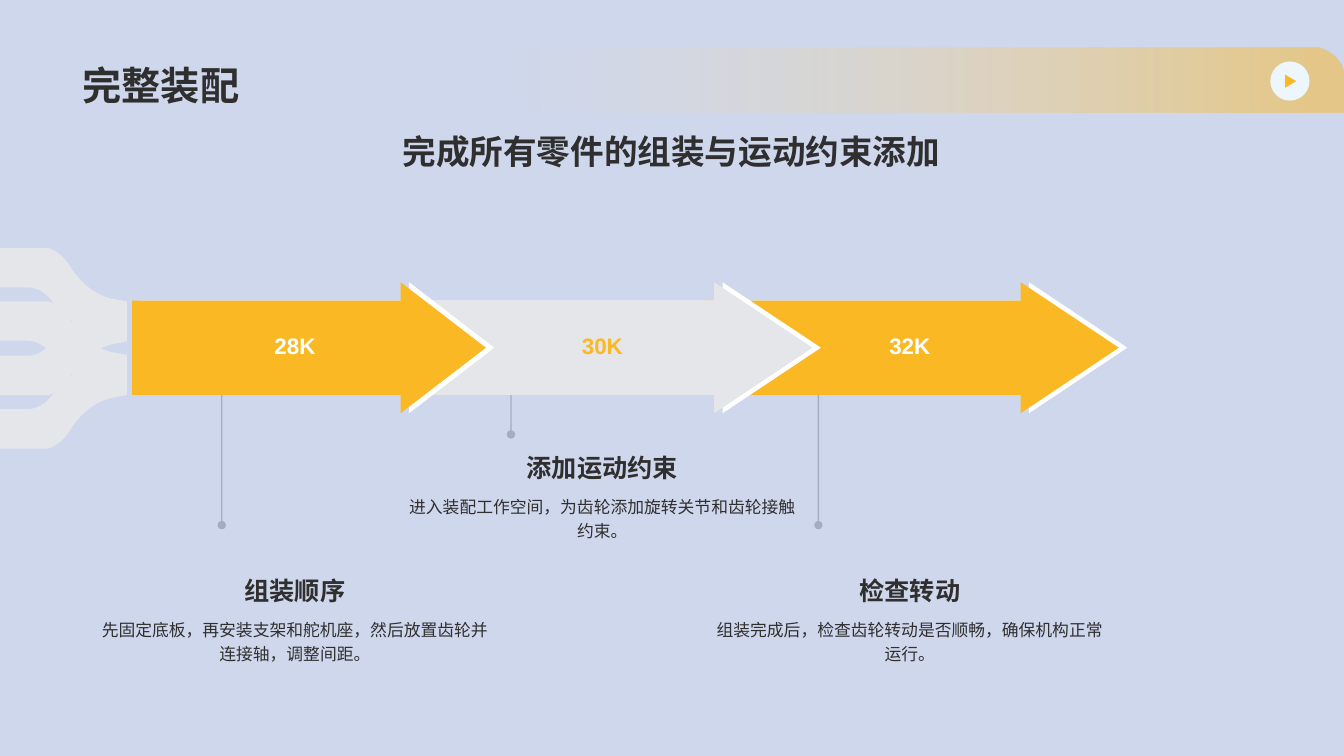
"""Builds the assembly slide with three overlapping arrows and their explanations."""
from dataclasses import dataclass

from lxml import etree
from pptx import Presentation
from pptx import util as u
from pptx.dml.color import RGBColor
from pptx.enum import shapes, text
from pptx.oxml import parse_xml
from pptx.oxml.ns import nsdecls, qn

DARK, WHITE, AMBER, GREY = "2F2F2F", "FFFFFF", "FBB825", "E4E6EA"
STEEL, PALE, SKY = "778495", "EDF6FD", "CFD7EC"
ARROW_TOP, ARROW_HEIGHT = 201.6, 93.6
TEXT_WIDTH, LABEL_WIDTH = 294.5, 162
STRAND_START = (31.7, 0)
STRAND_SEGMENTS = [
    [(0, 0)], [(0, 28.1)], [(20.9, 28.1)],
    [(26.6, 28.8), (32.4, 31.7), (36, 36.7)], [(38.9, 40.3)],
    [(45.4, 48.2), (53.3, 54.7), (62.6, 59)], [(72.7, 63.4)],
    [(75.6, 64.1), (78.5, 64.8), (81.4, 65.5)], [(84.2, 65.5)],
    [(90.7, 66.2)], [(90.7, 38.2)], [(86.4, 37.4)], [(78.5, 36)],
    [(66.2, 32.4), (56.2, 23.8), (49, 11.5)], [(46.8, 8.6)],
    [(43.2, 4.3), (38.9, 1.4), (34.6, 0)],
]


@dataclass
class Step:
    label: str
    heading: str
    detail: str
    text_left: float
    heading_top: float
    arrow_left: float
    arrow_width: float
    head: float
    fill: str
    label_color: str
    drop_x: float
    drop_end: float


STEPS = [
    Step("28K", "组装顺序", "先固定底板，再安装支架和舵机座，然后放置齿轮并连接轴，调整间距。",
         63.4, 396, 94.3, 252.7, 0.65, AMBER, WHITE, 158.4, 375.1),
    Step("30K", "添加运动约束", "进入装配工作空间，为齿轮添加旋转关节和齿轮接触约束。",
         283, 307.6, 284.4, 295.9, 0.75, GREY, AMBER, 365, 310.3),
    Step("32K", "检查转动", "组装完成后，检查齿轮转动是否顺畅，确保机构正常运行。",
         502.6, 396, 503.3, 295.9, 0.75, AMBER, WHITE, 584.6, 375.1),
]


def rgb(color: str) -> RGBColor:
    return RGBColor.from_string(color)


def paint(sp, color: str):
    sp.shadow.inherit = False
    sp.fill.solid()
    sp.fill.fore_color.rgb = rgb(color)
    sp.line.fill.background()
    return sp


def add_preset(s, kind, left: float, top: float, width: float, height: float, color: str):
    sp = s.shapes.add_shape(kind, u.Pt(left), u.Pt(top), u.Pt(width), u.Pt(height))
    return paint(sp, color)


def write(sp, content: str, size: float, color: str, bold: bool, align, anchor, spacing: float = 1.0) -> None:
    tf = sp.text_frame
    tf.word_wrap = True
    tf.vertical_anchor = anchor
    p = tf.paragraphs[0]
    p.alignment = align
    p.line_spacing = spacing
    r = p.add_run()
    r.text = content
    r.font.name, r.font.size, r.font.bold = "Arial", u.Pt(size), bold
    r.font.color.rgb = rgb(color)
    r.font._element.set("lang", "zh-CN")


def add_text(s, left: float, top: float, width: float, height: float, content: str,
             size: float, color: str, bold: bool, anchor, spacing: float = 1.0) -> None:
    sp = s.shapes.add_textbox(u.Pt(left), u.Pt(top), u.Pt(width), u.Pt(height))
    write(sp, content, size, color, bold, text.PP_ALIGN.CENTER, anchor, spacing)


def add_banner(s) -> None:
    kind = shapes.MSO_SHAPE
    banner = add_preset(s, kind.ROUND_2_DIAG_RECTANGLE, 367.2, 33.8, 592.8, 46.8, AMBER)
    banner.adjustments[0], banner.adjustments[1] = 0, 0.5
    solid = banner._element.spPr.find(qn("a:solidFill"))
    solid.getparent().replace(solid, parse_xml(
        f'<a:gradFill {nsdecls("a")} rotWithShape="1"><a:gsLst>'
        '<a:gs pos="0"><a:srgbClr val="FDE3A8"><a:alpha val="0"/></a:srgbClr></a:gs>'
        f'<a:gs pos="96000"><a:srgbClr val="{AMBER}"><a:alpha val="50000"/></a:srgbClr></a:gs>'
        '</a:gsLst><a:lin ang="0" scaled="0"/></a:gradFill>'))
    add_preset(s, kind.OVAL, 907.4, 43.9, 28, 28, PALE)
    play = add_preset(s, kind.ISOSCELES_TRIANGLE, 917.2, 54, 9.4, 8, AMBER)
    play.rotation = 90


def add_drop(s, step: Step) -> None:
    x = u.Pt(step.drop_x)
    line = s.shapes.add_connector(shapes.MSO_CONNECTOR.STRAIGHT, x, u.Pt(281.5), x, u.Pt(step.drop_end))
    line.line.width = u.Pt(1)
    line.line.color.rgb = rgb(STEEL)
    ln = line.line._get_or_add_ln()
    etree.SubElement(ln.find(".//" + qn("a:srgbClr")), qn("a:alpha"), val="50000")
    etree.SubElement(ln, qn("a:tailEnd"), type="oval")
    etree.SubElement(line._element.spPr, qn("a:effectLst"))


def strand_points() -> list[tuple[float, float]]:
    points = [STRAND_START]
    for segment in STRAND_SEGMENTS:
        if len(segment) == 1:
            points += segment
            continue
        corners = [points[-1], *segment]
        for t in (i / 8 for i in range(1, 9)):
            weights = ((1 - t) ** 3, 3 * t * (1 - t) ** 2, 3 * t * t * (1 - t), t ** 3)
            points.append(tuple(sum(w * c[axis] for w, c in zip(weights, corners)) for axis in (0, 1)))
    return points


def add_strand(s, edge: float, direction: int) -> None:
    start, *rest = [(u.Pt(x), u.Pt(edge + direction * y)) for x, y in strand_points()]
    builder = s.shapes.build_freeform(*start)
    builder.add_line_segments(rest, close=True)
    paint(builder.convert_to_shape(), GREY)


def add_arrow(s, step: Step) -> None:
    arrow = add_preset(s, shapes.MSO_SHAPE.RIGHT_ARROW, step.arrow_left, ARROW_TOP,
                       step.arrow_width, ARROW_HEIGHT, step.fill)
    arrow.adjustments[0], arrow.adjustments[1] = 0.72, step.head
    effects = arrow._element.spPr.find(qn("a:effectLst"))
    shadow = etree.SubElement(effects, qn("a:outerShdw"), blurRad="0", dist=str(u.Pt(6)),
                              dir="0", algn="l", rotWithShape="0")
    etree.SubElement(shadow, qn("a:srgbClr"), val=WHITE)


def add_step_text(s, step: Step) -> None:
    anchor = text.MSO_ANCHOR
    label_left = step.text_left + (TEXT_WIDTH - LABEL_WIDTH) / 2
    add_text(s, label_left, 225.4, LABEL_WIDTH, 42.5, step.label, 16, step.label_color, True, anchor.MIDDLE)
    add_text(s, step.text_left, step.heading_top, TEXT_WIDTH, 40.3, step.heading, 18, DARK, True, anchor.BOTTOM)
    add_text(s, step.text_left, step.heading_top + 40.5, TEXT_WIDTH, 47.5, step.detail,
             12, DARK, False, anchor.TOP, 1.2)


def main() -> None:
    prs = Presentation()
    prs.slide_width, prs.slide_height = u.Pt(960), u.Pt(540)
    s = prs.slides.add_slide(prs.slide_layouts[5])
    s.background.fill.solid()
    s.background.fill.fore_color.rgb = rgb(SKY)
    add_banner(s)
    title = s.shapes.title
    title.left, title.top, title.width, title.height = u.Pt(51.8), u.Pt(10.1), u.Pt(855.4), u.Pt(70.6)
    write(title, "完整装配", 28, DARK, True, text.PP_ALIGN.LEFT, text.MSO_ANCHOR.BOTTOM)
    add_text(s, 51.8, 90, 855.4, 80.6, "完成所有零件的组装与运动约束添加", 24, DARK, True, text.MSO_ANCHOR.TOP)
    for edge, direction in ((320.4, -1), (282.2, -1), (177.1, 1), (215.3, 1)):
        add_strand(s, edge, direction)
    for step in STEPS:
        add_drop(s, step)
    for step in reversed(STEPS):
        add_arrow(s, step)
    for step in STEPS:
        add_step_text(s, step)
    prs.save("out.pptx")


if __name__ == "__main__":
    main()
